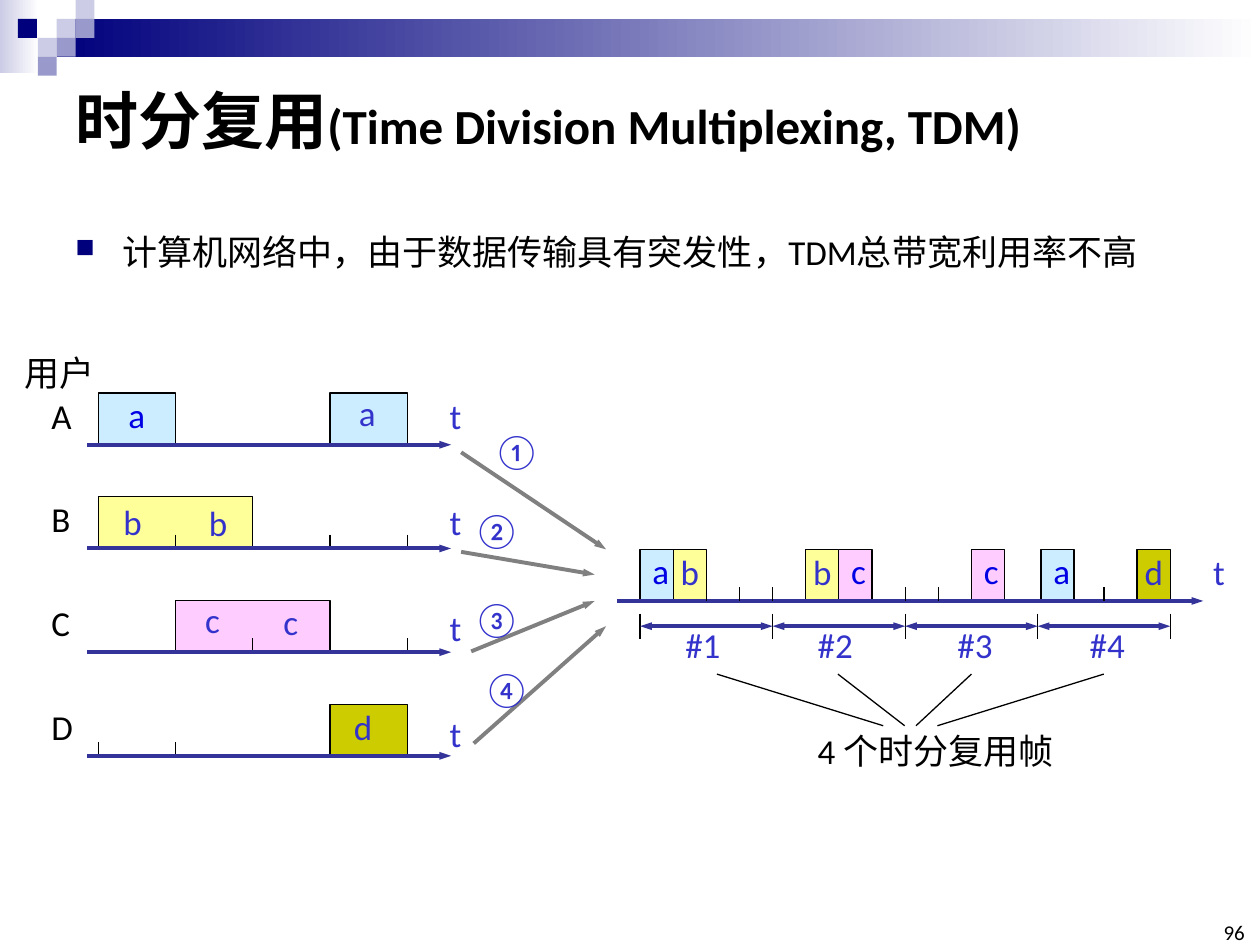
from dataclasses import dataclass

from lxml.etree import SubElement
from pptx import Presentation
from pptx.dml.color import RGBColor
from pptx.enum.shapes import MSO_CONNECTOR, MSO_SHAPE
from pptx.enum.text import MSO_ANCHOR, PP_ALIGN
from pptx.oxml.ns import qn
from pptx.util import Inches, Pt


@dataclass(frozen=True)
class Theme:
    black: str = "000000"
    white: str = "FFFFFF"
    navy: str = "00007D"
    lilac: str = "CCCCE6"
    violet: str = "9999CC"
    axis: str = "333399"
    letter: str = "3333CC"
    bright_letter: str = "0000E4"
    gray: str = "808080"
    latin: str = "Calibri"
    asian: str = "Noto Sans CJK SC"
    title: int = 36
    subtitle: int = 28
    text: int = 20
    number: int = 12
    thin: float = 0.75
    thick: float = 2.25


@dataclass(frozen=True)
class Timeline:
    """A time axis divided into equal slots."""
    start: float
    pitch: float

    def at(self, slot):
        return self.start + slot * self.pitch


THEME = Theme()
USER_COLORS = {"a": "CCECFF", "b": "FFFF99", "c": "FFCCFF", "d": "CCCC00"}
USER_TIME = Timeline(0.78, 0.613)
SHARED_TIME = Timeline(5.08, 0.263)
USER_BASES = [3.53 + 0.823 * row for row in range(4)]
SHARED_BASE = 4.77
BLOCK_HEIGHT = 0.41
TICK_HEIGHT = 0.11
LABEL_HEIGHT = 0.44


def color(value):
    return RGBColor.from_string(value)


def write(paragraph, text, size=THEME.text, ink=THEME.black, bold=False, latin=THEME.latin):
    run = paragraph.add_run()
    run.text = text
    font = run.font
    font.size, font.bold, font.name = Pt(size), bold, latin
    font.color.rgb = color(ink)
    SubElement(font._element, qn("a:ea")).set("typeface", THEME.asian)


def text_box(slide, left, top, width, height, wrap=False, anchor=MSO_ANCHOR.TOP):
    """Add an empty text box and return its text frame."""
    frame = slide.shapes.add_textbox(*map(Inches, (left, top, width, height))).text_frame
    frame.word_wrap = wrap
    frame.vertical_anchor = anchor
    return frame


def label(slide, text, left, top, width=0.35, **style):
    frame = text_box(slide, left, top, width, LABEL_HEIGHT)
    write(frame.paragraphs[0], text, **style)


def rectangle(slide, left, top, width, height, fill, fade=False):
    shape = slide.shapes.add_shape(MSO_SHAPE.RECTANGLE, *map(Inches, (left, top, width, height)))
    shape.shadow.inherit = False
    shape.line.fill.background()
    if fade:
        shape.fill.gradient()
        shape.fill.gradient_angle = 0
        for stop, position, value in zip(shape.fill.gradient_stops, (0, 1), (fill, THEME.white)):
            stop.position, stop.color.rgb = position, color(value)
    else:
        shape.fill.solid()
        shape.fill.fore_color.rgb = color(fill)


def line(slide, start, end, ink=THEME.black, width=THEME.thin, ends=()):
    """Draw a line; ends names the arrowheads, "headEnd" at start and "tailEnd" at end."""
    connector = slide.shapes.add_connector(MSO_CONNECTOR.STRAIGHT, *map(Inches, (*start, *end)))
    connector.line.color.rgb = color(ink)
    connector.line.width = Pt(width)
    outline = connector.line._get_or_add_ln()
    for name in ends:
        arrow = SubElement(outline, qn(f"a:{name}"))
        for key, value in (("type", "triangle"), ("w", "sm"), ("len", "med")):
            arrow.set(key, value)
    SubElement(connector._element.spPr, qn("a:effectLst"))


def axis(slide, left, right, base):
    line(slide, (left, base), (right, base), THEME.axis, THEME.thick, ("tailEnd",))


def tick(slide, x, base):
    line(slide, (x, base - TICK_HEIGHT), (x, base))


def block(slide, timeline, slot, base, user, slots=1, text="", align=PP_ALIGN.LEFT):
    """Add a slot of data whose outline is open along the time axis."""
    left, right = timeline.at(slot), timeline.at(slot + slots)
    top = base - BLOCK_HEIGHT
    builder = slide.shapes.build_freeform(Inches(left), Inches(base))
    corners = [(left, top), (right, top), (right, base)]
    builder.add_line_segments([(Inches(x), Inches(y)) for x, y in corners], close=False)
    shape = builder.convert_to_shape()
    shape.shadow.inherit = False
    shape.fill.solid()
    shape.fill.fore_color.rgb = color(USER_COLORS[user])
    shape.line.color.rgb = color(THEME.black)
    shape.line.width = Pt(THEME.thin)
    if text:
        frame = shape.text_frame
        frame.margin_top = frame.margin_bottom = 0
        frame.vertical_anchor = MSO_ANCHOR.TOP
        frame.paragraphs[0].alignment = align
        write(frame.paragraphs[0], text, ink=THEME.bright_letter)


def banner(slide):
    cell = 0.15
    rectangle(slide, 0, 0, 0.31, 0.58, THEME.lilac, fade=True)
    rectangle(slide, 3 * cell, cell, 9.55, 0.3, THEME.navy, fade=True)
    for column, row, fill in [(3, 1, THEME.lilac), (4, 0, THEME.lilac), (4, 1, THEME.violet),
                              (2, 2, THEME.lilac), (0.95, 1, THEME.navy),
                              (3, 2, THEME.violet), (2, 3, THEME.violet)]:
        rectangle(slide, column * cell, row * cell, cell, cell, fill)


def headings(slide):
    title = text_box(slide, 0.5, 0.5, 9, 0.89, True, MSO_ANCHOR.MIDDLE).paragraphs[0]
    write(title, "时分复用", size=THEME.title, bold=True, latin=THEME.asian)
    write(title, "(Time Division Multiplexing, TDM)", size=THEME.subtitle, bold=True)

    body = text_box(slide, 0.5, 1.78, 9.15, 0.55, True).paragraphs[0]
    properties = body._p.get_or_add_pPr()
    properties.set("marL", str(Inches(0.37)))
    properties.set("indent", str(-Inches(0.37)))
    bullet_color = SubElement(properties, qn("a:buClr"))
    SubElement(bullet_color, qn("a:srgbClr")).set("val", THEME.navy)
    SubElement(properties, qn("a:buSzPct")).set("val", "75000")
    SubElement(properties, qn("a:buChar")).set("char", "■")
    write(body, "计算机网络中，由于数据传输具有突发性，TDM总带宽利用率不高")

    number = text_box(slide, 9.65, 7.33, 0.23, 0.17, anchor=MSO_ANCHOR.BOTTOM)
    number.margin_left = number.margin_right = number.margin_top = number.margin_bottom = 0
    number.paragraphs[0].alignment = PP_ALIGN.RIGHT
    write(number.paragraphs[0], "96", size=THEME.number)


def user_timelines(slide):
    label(slide, "用户", 0.1, 2.74, 0.76)
    block(slide, USER_TIME, 0, USER_BASES[0], "a", text="a", align=PP_ALIGN.CENTER)
    for row, slot, user, slots in [(0, 3, "a", 1), (1, 0, "b", 2), (2, 1, "c", 2), (3, 3, "d", 1)]:
        block(slide, USER_TIME, slot, USER_BASES[row], user, slots)
    ticks = [(), (1, 3, 4), (2, 4), (0, 1, 3)]
    for row, (name, base, slots) in enumerate(zip("ABCD", USER_BASES, ticks)):
        for slot in slots:
            tick(slide, USER_TIME.at(slot), base)
        axis(slide, 0.69, 3.58, base)
        label(slide, name, 0.31, base - 0.45, 0.37)
        label(slide, "t", 3.47, 3.08 + 0.843 * row, 0.3, ink=THEME.letter)
    for text, left, top in [("a", 2.75, 3.06), ("b", 0.88, 3.92), ("b", 1.56, 3.93),
                            ("c", 1.53, 4.7), ("c", 2.15, 4.72), ("d", 2.71, 5.55)]:
        label(slide, text, left, top, ink=THEME.letter)


def merging_arrows(slide):
    for start, end, text, left, top in [((3.66, 3.59), (4.81, 4.36), "①", 3.82, 3.36),
                                        ((3.66, 4.38), (4.72, 4.56), "②", 3.66, 3.99),
                                        ((3.74, 5.17), (4.72, 4.77), "③", 3.66, 4.69),
                                        ((3.76, 5.9), (4.81, 4.97), "④", 3.74, 5.25)]:
        line(slide, start, end, THEME.gray, THEME.thick, ("tailEnd",))
        label(slide, text, left, top, 0.48, ink=THEME.letter)


def shared_timeline(slide):
    for slot, user in [(12.1, "a"), (10, "c"), (6, "c"), (0, "a")]:
        block(slide, SHARED_TIME, slot, SHARED_BASE, user, text=user)
    for slot, user in [(15, "d"), (5, "b"), (1, "b")]:
        block(slide, SHARED_TIME, slot, SHARED_BASE, user)
        label(slide, user, SHARED_TIME.at(slot) - 0.04, 4.32, ink=THEME.letter)
    axis(slide, 4.9, 9.55, SHARED_BASE)
    label(slide, "t", 9.53, 4.32, 0.3, ink=THEME.letter)
    for slot in (2, 3, 4, 8, 9, 14):
        tick(slide, SHARED_TIME.at(slot), SHARED_BASE)


def frames(slide):
    edges = [SHARED_TIME.at(4 * frame) for frame in range(5)]
    for x in edges:
        line(slide, (x, 4.87), (x, 5.07))
    for left, right in zip(edges, edges[1:]):
        line(slide, (left, 4.97), (right, 4.97), THEME.axis, THEME.thick, ("headEnd", "tailEnd"))
    pointers = [(5.34, 5.69, 7.01), (6.39, 6.65, 7.18), (7.5, 7.71, 7.27), (8.55, 8.76, 7.44)]
    for number, (left, top_x, bottom_x) in enumerate(pointers, start=1):
        label(slide, f"#{number}", left, 4.9, 0.48, ink=THEME.letter)
        line(slide, (top_x, 5.35), (bottom_x, 5.76))
    label(slide, "4 个时分复用帧", 6.39, 5.74, 2.16)


def main():
    presentation = Presentation()
    presentation.slide_width, presentation.slide_height = Inches(10), Inches(7.5)
    slide = presentation.slides.add_slide(presentation.slide_layouts[6])
    for draw in (banner, headings, user_timelines, shared_timeline, frames, merging_arrows):
        draw(slide)
    presentation.save("out.pptx")


if __name__ == "__main__":
    main()
